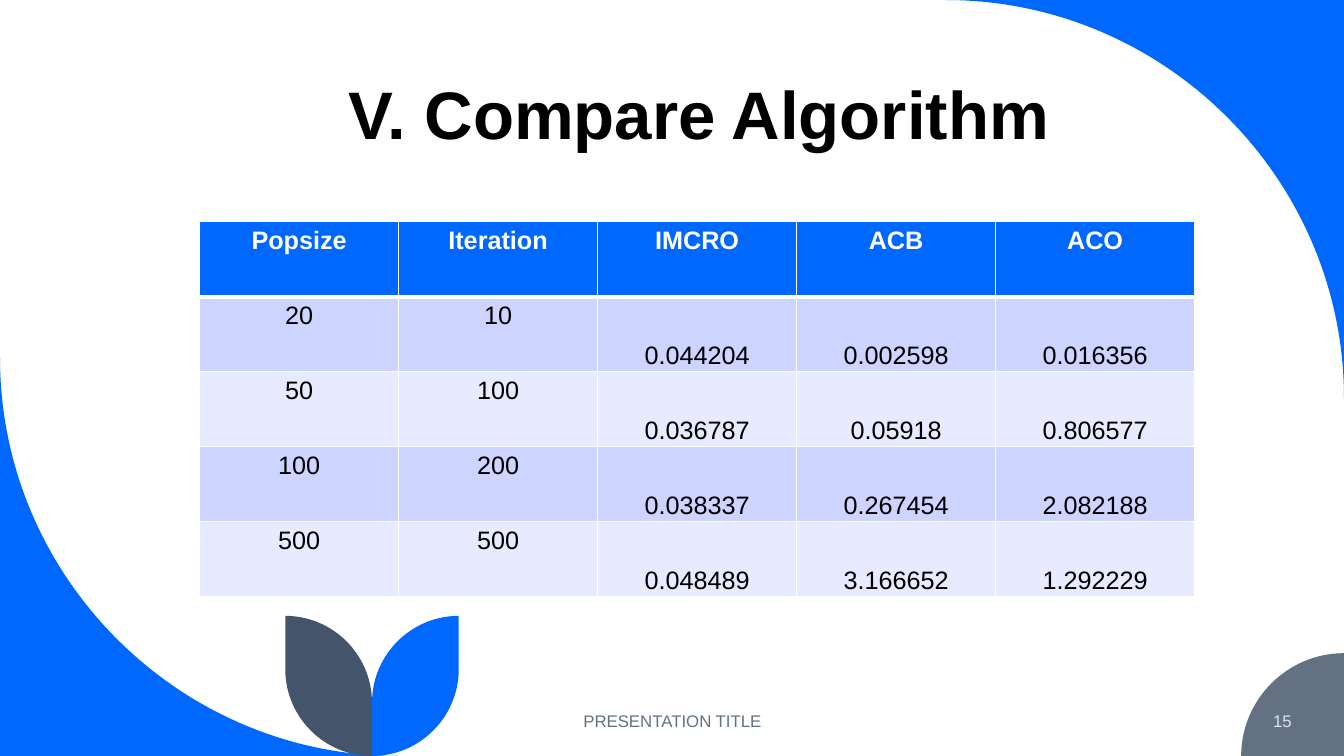
from lxml.etree import SubElement
from pptx import Presentation
from pptx.dml.color import RGBColor
from pptx.enum.text import MSO_ANCHOR, PP_ALIGN
from pptx.oxml.ns import qn
from pptx.util import Inches, Pt

COLORS = {
    "blue": "0068FF", "slate": "637183", "navy": "44546A",
    "white": "FFFFFF", "black": "000000", "pale": "DAE5EF",
    "band_dark": "CCD4FF", "band_light": "E7EBFF",
}
FONT = "Arial"
WIDTH, HEIGHT = 13.33, 7.5
ARC_PULL = 0.55  # share of the way to the corner for a quarter-circle handle
ROWS = [
    ["Popsize", "Iteration", "IMCRO", "ACB", "ACO"],
    ["20", "10", "0.044204", "0.002598", "0.016356"],
    ["50", "100", "0.036787", "0.05918", "0.806577"],
    ["100", "200", "0.038337", "0.267454", "2.082188"],
    ["500", "500", "0.048489", "3.166652", "1.292229"],
]


def color(name):
    return RGBColor.from_string(COLORS[name])


def bend_segment(segment, shape, start, end, corner):
    """Turn a straight segment into a quarter arc that bulges to the corner."""
    handles = [[a + ARC_PULL * (c - a) for a, c in zip(point, corner)]
               for point in (start, end)]
    segment.tag = qn("a:cubicBezTo")
    for child in list(segment):
        segment.remove(child)
    for x, y in handles + [end]:
        SubElement(segment, qn("a:pt"), x=str(Inches(x) - shape.left),
                   y=str(Inches(y) - shape.top))


def add_outline(slide, points, corners, fill):
    """Draw a closed outline; corners maps a segment number to its arc corner."""
    builder = slide.shapes.build_freeform(*map(Inches, points[0]))
    builder.add_line_segments([(Inches(x), Inches(y)) for x, y in points[1:]], close=True)
    shape = builder.convert_to_shape()
    shape.shadow.inherit = False
    shape.fill.solid()
    shape.fill.fore_color.rgb = color(fill)
    shape.line.fill.background()
    segments = list(shape._element.iter(qn("a:lnTo")))
    for index, corner in corners.items():
        bend_segment(segments[index], shape, points[index], points[index + 1], corner)


def add_corners(slide, width, height, sweep, badge):
    # Large sweeps in the top right and bottom left
    add_outline(slide, [(width, 0), (width, sweep), (width - sweep, 0)],
                {1: (width, 0)}, "blue")
    add_outline(slide, [(0, height - sweep), (sweep, height), (0, height)],
                {0: (0, height)}, "blue")
    # Quarter disc behind the page number
    add_outline(slide, [(width, height), (width, height - badge), (width - badge, height)],
                {1: (width - badge, height - badge)}, "slate")


def add_leaves(slide, left, top, leaf_width, height):
    stem = left + leaf_width
    bottom = top + height
    for edge, fill in ((stem + leaf_width, "blue"), (left, "navy")):
        points = [(edge, top), (edge, bottom - leaf_width), (stem, bottom),
                  (stem, top + leaf_width), (edge, top)]
        add_outline(slide, points, {1: (edge, bottom), 3: (stem, top)}, fill)


def format_text(text_frame, size, text_color, align, bold=False):
    paragraph = text_frame.paragraphs[0]
    paragraph.alignment = align
    for run in paragraph.runs:
        run.font.name = FONT
        run.font.size = Pt(size)
        run.font.bold = bold
        run.font.color.rgb = color(text_color)
    return paragraph


def add_text(slide, box, text, size, text_color, align, anchor, bold=False):
    text_frame = slide.shapes.add_textbox(*map(Inches, box)).text_frame
    text_frame.word_wrap = True
    text_frame.vertical_anchor = anchor
    text_frame.text = text
    return format_text(text_frame, size, text_color, align, bold)


def set_borders(cell, top_width, bottom_width):
    properties = cell._tc.get_or_add_tcPr()
    widths = {"a:lnL": 1, "a:lnR": 1, "a:lnT": top_width, "a:lnB": bottom_width}
    for position, (tag, width) in enumerate(widths.items()):
        line = SubElement(properties, qn(tag), w=str(Pt(width)))
        fill = SubElement(line, qn("a:solidFill"))
        SubElement(fill, qn("a:srgbClr"), val=COLORS["white"])
        properties.insert(position, line)


def add_results_table(slide, left, top, width, height):
    frame = slide.shapes.add_table(len(ROWS), len(ROWS[0]), Inches(left), Inches(top),
                                   Inches(width), Inches(height))
    for row_index, row in enumerate(ROWS):
        header = row_index == 0
        fill = "blue" if header else ("band_dark" if row_index % 2 else "band_light")
        for column_index, text in enumerate(row):
            cell = frame.table.cell(row_index, column_index)
            cell.text = text
            format_text(cell.text_frame, 18, "white" if header else "black",
                        PP_ALIGN.CENTER, header)
            cell.fill.solid()
            cell.fill.fore_color.rgb = color(fill)
            # Algorithm results sit at the bottom of their cells
            if not header and column_index >= 2:
                cell.vertical_anchor = MSO_ANCHOR.BOTTOM
                cell.margin_left = cell.margin_right = Inches(0.03)
                cell.margin_top = cell.margin_bottom = Inches(0.02)
            # A thicker rule separates the header from the results
            set_borders(cell, 3 if row_index == 1 else 1, 3 if header else 1)


def add_footer(slide, top, height):
    add_text(slide, (4.42, top, 4.5, height), "PRESENTATION TITLE", 12, "slate",
             PP_ALIGN.CENTER, MSO_ANCHOR.MIDDLE)
    add_text(slide, (11.1, top, 1.81, height), "15", 12, "pale",
             PP_ALIGN.RIGHT, MSO_ANCHOR.MIDDLE)


def main():
    presentation = Presentation()
    presentation.slide_width = Inches(WIDTH)
    presentation.slide_height = Inches(HEIGHT)
    slide = presentation.slides.add_slide(presentation.slide_layouts[6])

    # Background decoration
    add_corners(slide, WIDTH, HEIGHT, 3.95, 1.02)
    add_leaves(slide, 2.83, 6.11, 0.86, 1.39)

    # Content
    title = add_text(slide, (3.36, 0.49, 7.46, 1.09), "V. Compare Algorithm", 48,
                     "black", PP_ALIGN.LEFT, MSO_ANCHOR.BOTTOM, bold=True)
    title.line_spacing = 0.9
    add_results_table(slide, 1.98, 2.2, 9.87, 3.72)
    add_footer(slide, 6.95, 0.4)

    presentation.save("out.pptx")


if __name__ == "__main__":
    main()
